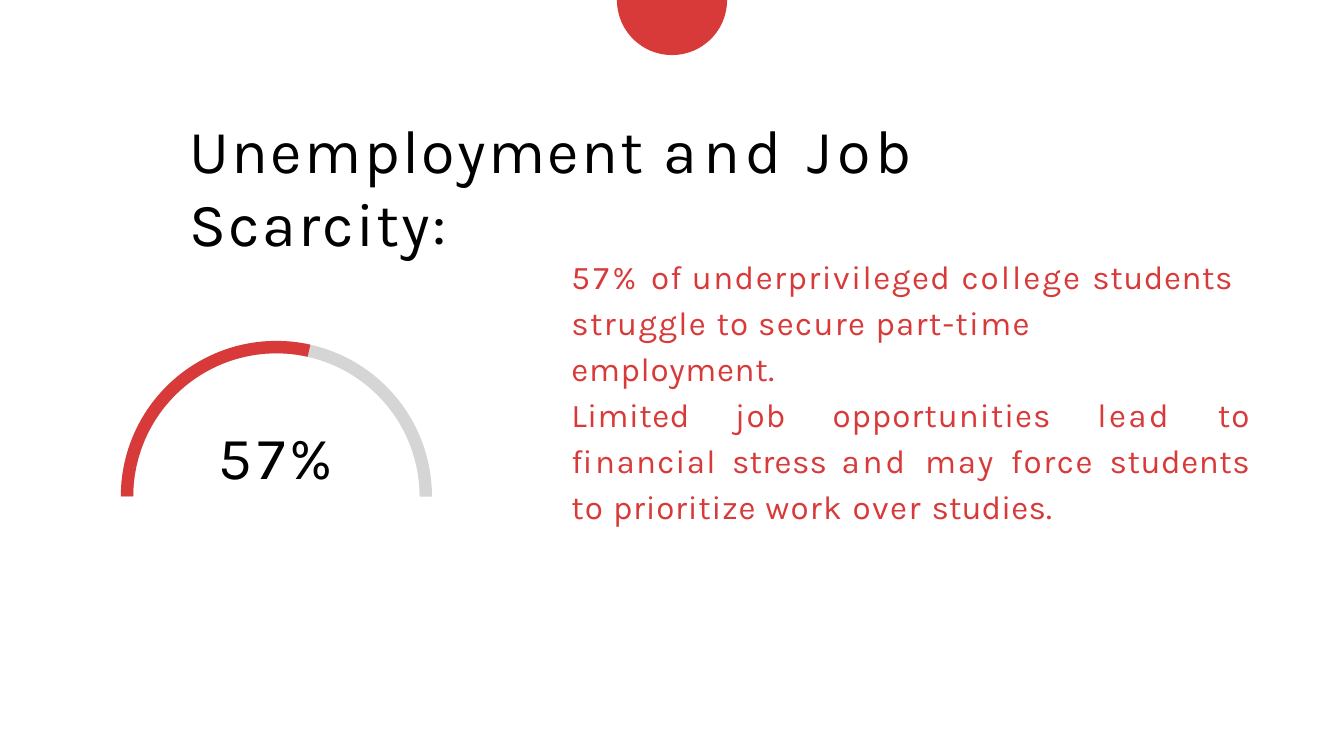
from math import cos, radians, sin

from pptx import Presentation
from pptx.dml.color import RGBColor
from pptx.enum.text import MSO_ANCHOR, MSO_AUTO_SIZE, PP_ALIGN
from pptx.util import Pt

COLORS = {"ink": "000000", "red": "D83A3A", "track": "D5D5D5"}
FONT = "Karla"
SHARE = 0.57

# Each run is (text, letter spacing in points)
TITLE = [("Unemployment ", 2.6), ("and ", 6), ("Job ", 5), ("Scarcity:", 2.5)]
GAUGE_LABEL = [("5", 6.6), ("7", 3.6), ("%", 9.5)]
FINDING = [
    ("57% ", 3.6), ("of ", 1.2), ("underprivileged ", 1.6), ("college ", 2.2),
    ("students ", 0.6), ("struggle ", 1.4), ("to ", 1.1),
    ("secure part-time ", 1.4), ("employment.", 0.7),
]
CONSEQUENCE = [
    ("Limited ", 0.5), ("job ", 1.4), ("opportunities ", 1.1), ("lead ", 2.6),
    ("to ", 1.1), ("financial ", 1.4), ("stress ", 0.3), ("and ", 3.2),
    ("may ", 2), ("force ", 1.7), ("students ", 0.6), ("to ", 1.1),
    ("prioritize ", 0.8), ("work ", 1.4), ("over ", 1.6), ("studies.", 0.1),
]

GAUGE = {"center": (296.2, 532), "outer": 166.7, "inner": 153.4}
TOP_DISC = {"center": (720, 0), "radius": 59}
BODY = {"size": 35.5, "color": "red", "line_spacing": 1.16}
FRAME_FORMAT = {
    "word_wrap": True,
    "auto_size": MSO_AUTO_SIZE.SHAPE_TO_FIT_TEXT,
    "vertical_anchor": MSO_ANCHOR.TOP,
    "margin_left": Pt(1),
    "margin_top": Pt(1),
    "margin_right": 0,
    "margin_bottom": 0,
}


def set_all(target, values):
    for name, value in values.items():
        setattr(target, name, value)


def write(shape, box, runs, size, color, align=PP_ALIGN.LEFT, line_spacing=1.0):
    left, top, width, height = (Pt(length) for length in box)
    set_all(shape, {"left": left, "top": top, "width": width, "height": height})
    set_all(shape.text_frame, FRAME_FORMAT)
    paragraph = shape.text_frame.paragraphs[0]
    set_all(paragraph, {"alignment": align, "line_spacing": line_spacing,
                        "space_before": Pt(1)})
    for text, spacing in runs:
        run = paragraph.add_run()
        run.text = text
        set_all(run.font, {"size": Pt(size), "name": FONT})
        run.font.color.rgb = RGBColor.from_string(COLORS[color])
        run._r.get_or_add_rPr().set("spc", str(round(spacing * 100)))


def arc(center, radius, start, end, steps=60):
    """Points along an arc; degrees run counterclockwise from the right."""
    x, y = center
    angles = [radians(start + (end - start) * i / steps) for i in range(steps + 1)]
    return [(Pt(x + radius * cos(a)), Pt(y - radius * sin(a))) for a in angles]


def add_outline(shapes, points, color):
    builder = shapes.build_freeform(*points[0])
    builder.add_line_segments(points[1:], close=True)
    outline = builder.convert_to_shape()
    outline.shadow.inherit = False
    outline.fill.solid()
    outline.fill.fore_color.rgb = RGBColor.from_string(COLORS[color])
    outline.line.fill.background()


def add_gauge_band(shapes, share, color):
    end = 180 * (1 - share)
    outer = arc(GAUGE["center"], GAUGE["outer"], 180, end)
    inner = arc(GAUGE["center"], GAUGE["inner"], end, 180)
    add_outline(shapes, outer + inner, color)


def add_text(shapes, box, runs, **style):
    write(shapes.add_textbox(0, 0, 0, 0), box, runs, **style)


def main():
    presentation = Presentation()
    set_all(presentation, {"slide_width": Pt(1440), "slide_height": Pt(810)})
    slide = presentation.slides.add_slide(presentation.slide_layouts[5])
    shapes = slide.shapes

    write(shapes.title, (201.6, 119.5, 1000, 80.6), TITLE, size=65.5, color="ink")
    add_text(shapes, (232.6, 448.6, 127.4, 78.5), GAUGE_LABEL, size=64, color="ink")
    add_gauge_band(shapes, 1, "track")
    add_gauge_band(shapes, SHARE, "red")
    add_text(shapes, (611.3, 266.4, 714, 100.8), FINDING, **BODY)
    add_text(shapes, (611.3, 414.7, 728.6, 150.5), CONSEQUENCE,
             align=PP_ALIGN.JUSTIFY, **BODY)
    add_outline(shapes, arc(TOP_DISC["center"], TOP_DISC["radius"], 180, 360), "red")

    presentation.save("out.pptx")


if __name__ == "__main__":
    main()
